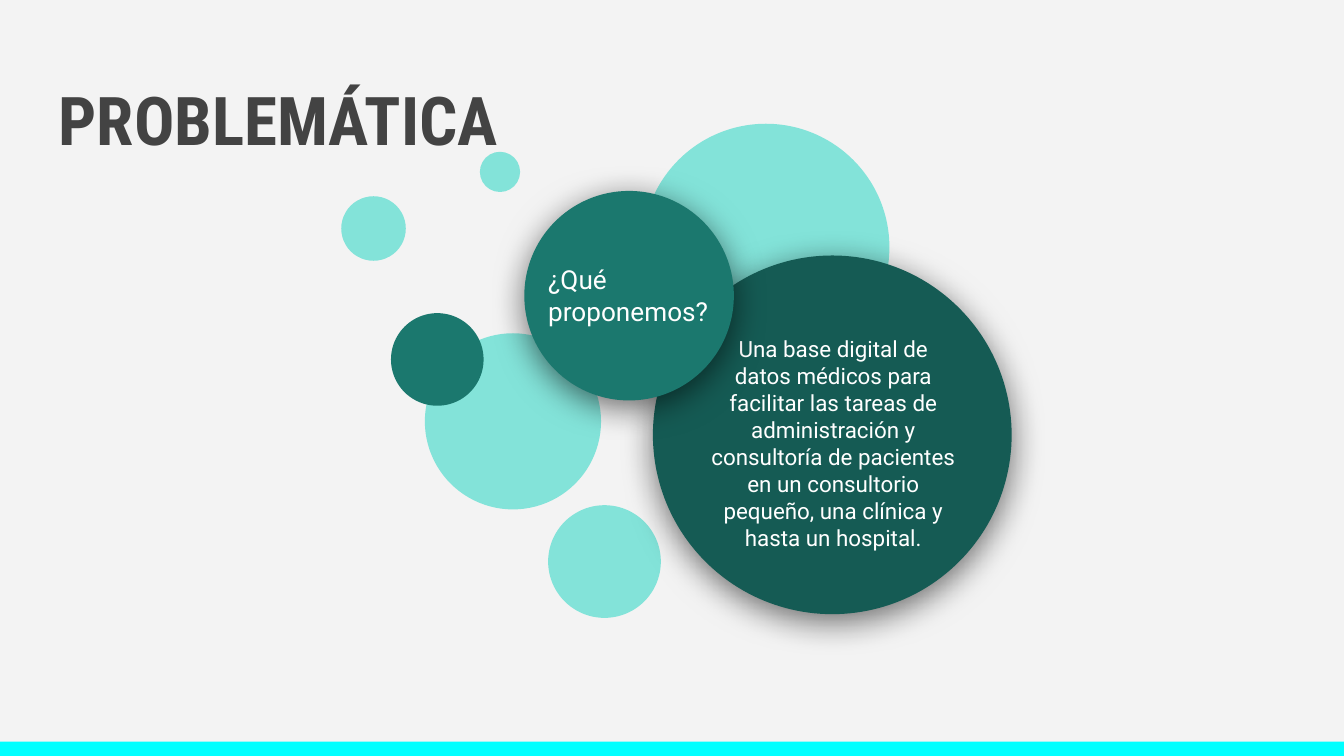
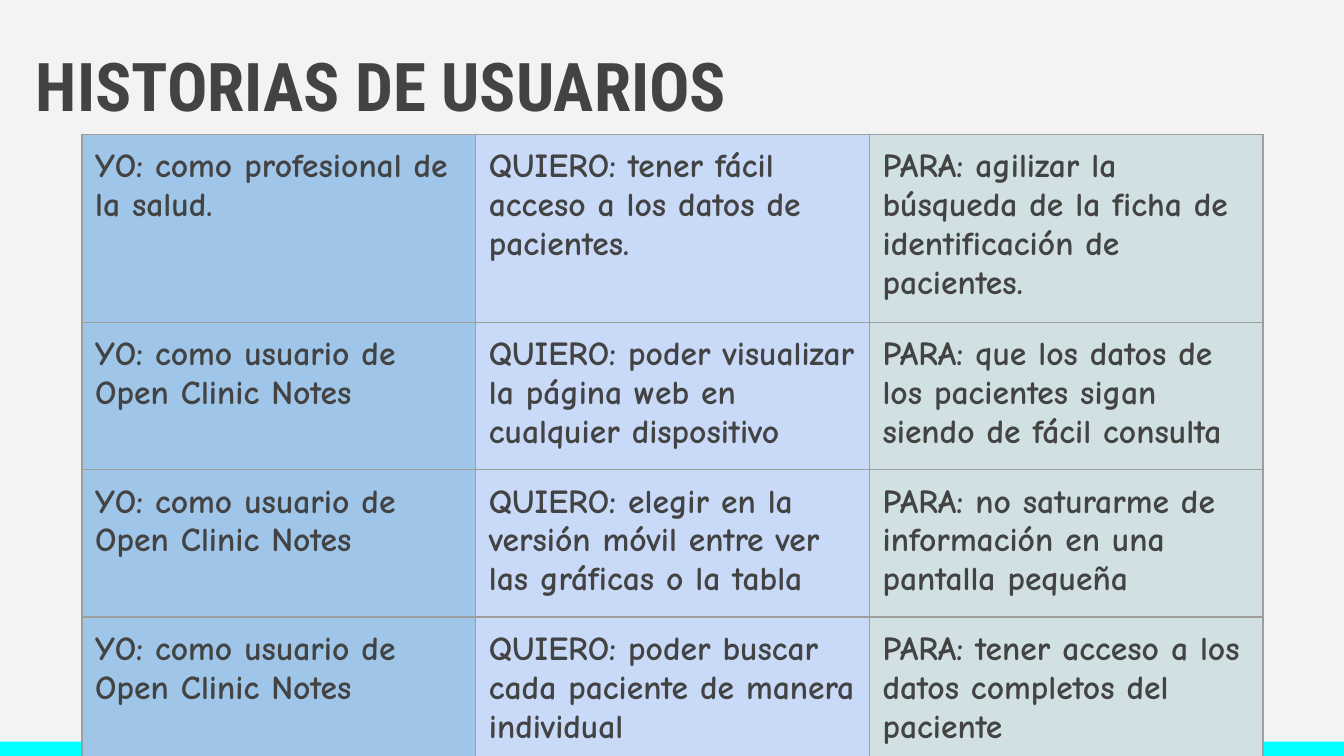
from lxml.etree import SubElement
from pptx import Presentation
from pptx.dml.color import RGBColor
from pptx.enum.shapes import MSO_SHAPE
from pptx.enum.text import MSO_ANCHOR, PP_ALIGN
from pptx.oxml.ns import qn
from pptx.util import Cm, Pt

COLORS = {
    "background": "F3F3F3",
    "band": "00FFFF",
    "text": "434343",
    "white": "FFFFFF",
    "light": "83E3D9",
    "medium": "1B786E",
    "dark": "155B54",
    "who": "9FC5E8",
    "want": "C9DAF8",
    "purpose": "D0E0E3",
    "border": "9E9E9E",
    "shadow": "000000",
}
SLIDE_WIDTH, SLIDE_HEIGHT = 25.4, 14.29
BAND_HEIGHT = 0.27
TITLE_SIZE = (23.67, 1.96)
INSET = 0.25

BUBBLES = [
    (10.36, 9.55, 2.13, "light"),
    (6.45, 3.71, 1.22, "light"),
    (8.03, 6.3, 3.33, "light"),
    (12.14, 2.34, 4.67, "light"),
    (7.39, 5.92, 1.75, "medium"),
    (9.07, 2.87, 0.76, "light"),
]
MESSAGES = [
    {
        "circle": (12.34, 4.83, 6.78, "dark"),
        "box": (13.16, 6.76, 5.18, 3.23),
        "text": "Una base digital de datos médicos para facilitar las tareas de "
                "administración y consultoría de pacientes en un consultorio "
                "pequeño, una clínica y hasta un hospital.",
        "size": 12,
        "align": PP_ALIGN.CENTER,
    },
    {
        "circle": (9.91, 3.61, 3.96, "medium"),
        "box": (10.11, 4.27, 3.76, 2.62),
        "text": "¿Qué proponemos?",
        "size": 14,
        "align": PP_ALIGN.LEFT,
    },
]

USER = "como usuario de Open Clinic Notes"
STORY_COLUMNS = [("YO", "who"), ("QUIERO", "want"), ("PARA", "purpose")]
STORIES = [
    ("como profesional de la salud.",
     "tener fácil acceso a los datos de pacientes.",
     "agilizar la búsqueda de la ficha de identificación de pacientes."),
    (USER,
     "poder visualizar la página web en cualquier dispositivo",
     "que los datos de los pacientes sigan siendo de fácil consulta"),
    (USER,
     "elegir en la versión móvil entre ver las gráficas o la tabla",
     "no saturarme de información en una pantalla pequeña"),
    (USER,
     "poder buscar cada paciente de manera individual",
     "tener acceso a los datos completos del paciente"),
]
TABLE_LEFT, TABLE_TOP = 1.55, 2.54
COLUMN_WIDTH = 7.44
ROW_HEIGHTS = [2.72, 2.72, 2.72, 1.98]


def rgb(name):
    return RGBColor.from_string(COLORS[name])


def set_insets(target):
    for side in ("left", "top", "right", "bottom"):
        setattr(target, f"margin_{side}", Cm(INSET))


def write(frame, text, font, size, color, bold=False, align=PP_ALIGN.LEFT):
    frame.word_wrap = True
    paragraph = frame.paragraphs[0]
    paragraph.alignment = align
    run = paragraph.add_run()
    run.text = text
    run.font.name = font
    run.font.size = Pt(size)
    run.font.bold = bold
    run.font.color.rgb = rgb(color)


def add_text(slide, box, text, font, size, color, anchor=MSO_ANCHOR.TOP, **style):
    frame = slide.shapes.add_textbox(*map(Cm, box)).text_frame
    set_insets(frame)
    frame.vertical_anchor = anchor
    write(frame, text, font, size, color, **style)


def add_filled(slide, kind, box, color):
    shape = slide.shapes.add_shape(kind, *map(Cm, box))
    shape.shadow.inherit = False
    shape.fill.solid()
    shape.fill.fore_color.rgb = rgb(color)
    shape.line.fill.background()
    return shape


def add_circle(slide, left, top, diameter, color):
    return add_filled(slide, MSO_SHAPE.OVAL, (left, top, diameter, diameter), color)


def add_shadow(shape):
    effects = shape._element.spPr.find(qn("a:effectLst"))
    shadow = SubElement(effects, qn("a:outerShdw"), blurRad=str(Pt(18)),
                        dist=str(Pt(4)), dir="5400000", algn="ctr", rotWithShape="0")
    color = SubElement(shadow, qn("a:srgbClr"), val=COLORS["shadow"])
    SubElement(color, qn("a:alpha"), val="55000")


def add_borders(cell):
    properties = cell._tc.get_or_add_tcPr()
    for index, side in enumerate(("lnL", "lnR", "lnT", "lnB")):
        line = SubElement(properties, qn(f"a:{side}"), w=str(Pt(0.75)))
        fill = SubElement(line, qn("a:solidFill"))
        SubElement(fill, qn("a:srgbClr"), val=COLORS["border"])
        properties.insert(index, line)


def add_slide(presentation, title, left, top):
    slide = presentation.slides.add_slide(presentation.slide_layouts[6])
    slide.background.fill.solid()
    slide.background.fill.fore_color.rgb = rgb("background")
    add_filled(slide, MSO_SHAPE.RECTANGLE,
               (0, SLIDE_HEIGHT - BAND_HEIGHT, SLIDE_WIDTH, BAND_HEIGHT), "band")
    add_text(slide, (left, top, *TITLE_SIZE), title, "Roboto Condensed", 36, "text",
             bold=True)
    return slide


def build_problem(presentation):
    slide = add_slide(presentation, "PROBLEMÁTICA", 0.86, 1.24)
    for bubble in BUBBLES:
        add_circle(slide, *bubble)
    for message in MESSAGES:
        add_shadow(add_circle(slide, *message["circle"]))
        add_text(slide, message["box"], message["text"], "Roboto", message["size"],
                 "white", anchor=MSO_ANCHOR.MIDDLE, align=message["align"])


def build_stories(presentation):
    slide = add_slide(presentation, "HISTORIAS DE USUARIOS", 0.43, 0.58)
    count = len(STORY_COLUMNS)
    table = slide.shapes.add_table(
        len(STORIES), count, Cm(TABLE_LEFT), Cm(TABLE_TOP),
        Cm(COLUMN_WIDTH * count), Cm(sum(ROW_HEIGHTS))).table
    table.first_row = table.horz_banding = False
    for column in table.columns:
        column.width = Cm(COLUMN_WIDTH)
    for row, height, story in zip(table.rows, ROW_HEIGHTS, STORIES):
        row.height = Cm(height)
        for cell, (label, color), text in zip(row.cells, STORY_COLUMNS, story):
            set_insets(cell)
            cell.fill.solid()
            cell.fill.fore_color.rgb = rgb(color)
            add_borders(cell)
            write(cell.text_frame, f"{label}: {text}", "Comic Neue", 18, "text", bold=True)


def main():
    presentation = Presentation()
    presentation.slide_width = Cm(SLIDE_WIDTH)
    presentation.slide_height = Cm(SLIDE_HEIGHT)
    build_problem(presentation)
    build_stories(presentation)
    presentation.save("out.pptx")


if __name__ == "__main__":
    main()
